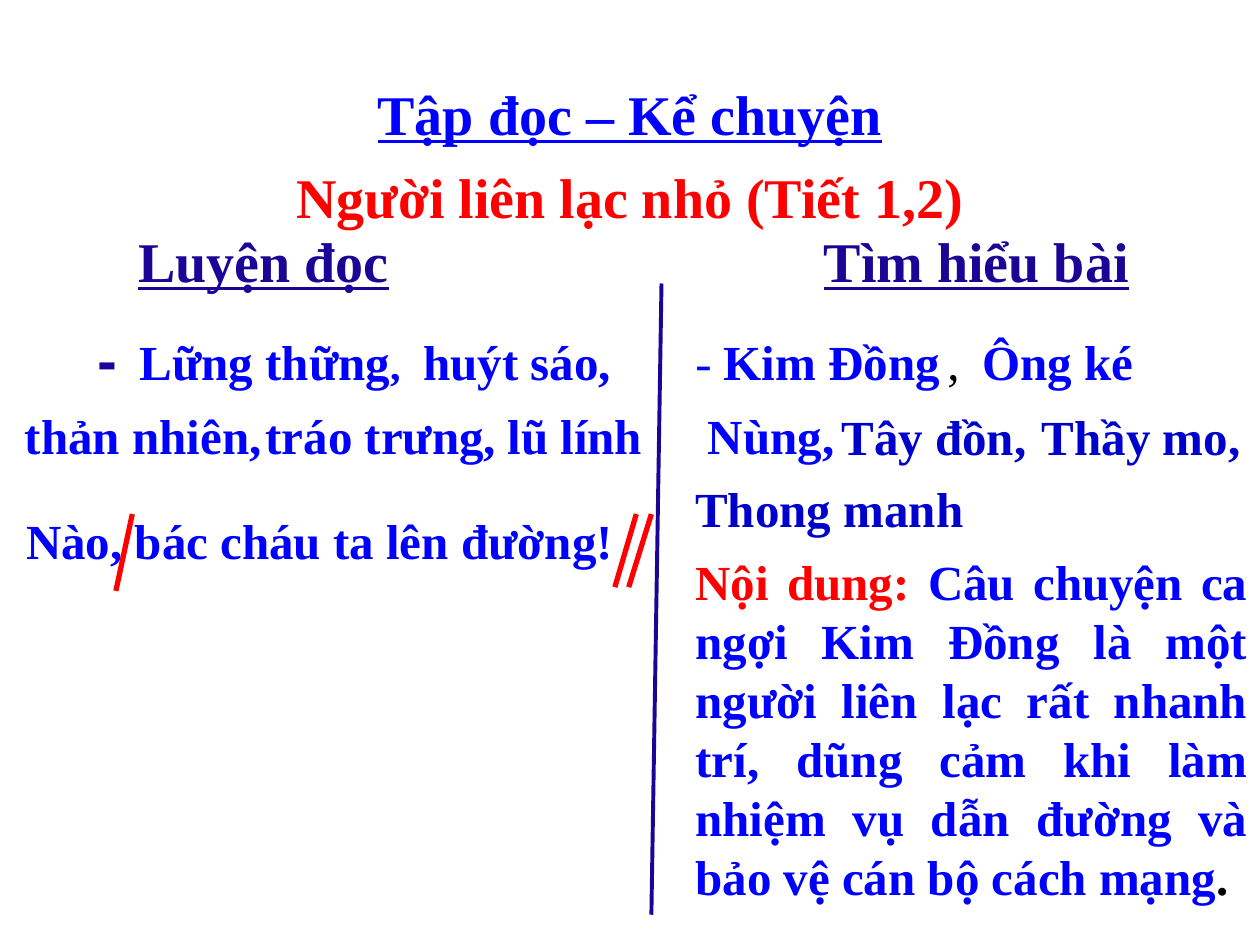
from typing import NamedTuple

from lxml.etree import SubElement
from pptx import Presentation
from pptx.dml.color import RGBColor
from pptx.enum.shapes import MSO_CONNECTOR
from pptx.enum.text import MSO_ANCHOR, MSO_AUTO_SIZE, PP_ALIGN
from pptx.oxml.ns import qn
from pptx.util import Inches, Pt

SERIF = "Times New Roman"
BLUE, DARK_BLUE, INDIGO = "0000FF", "0000CC", "1A0597"
RED, BLACK = "FF0000", "000000"
HEADING_SIZE, TEXT_SIZE = 32, 28
HEADING_HEIGHT, TEXT_HEIGHT = 0.64, 0.57
ROW_1, ROW_2, ROW_3 = 2.58, 3.17, 3.75
RIGHT_COLUMN = 5.42


class Span(NamedTuple):
    text: str
    color: str = BLUE
    bold: bool = True
    size: int | None = None


class Label(NamedTuple):
    left: float
    top: float
    width: float
    spans: list[Span]
    size: int = TEXT_SIZE
    height: float = TEXT_HEIGHT
    font: str = SERIF
    underline: bool = False
    align: PP_ALIGN = PP_ALIGN.LEFT


class Stroke(NamedTuple):
    start: tuple[float, float]
    end: tuple[float, float]
    color: str = RED
    width: float = 3


def rgb(color: str) -> RGBColor:
    return RGBColor.from_string(color)


def fill_label(box, label: Label) -> None:
    """Place a text shape and write its single paragraph."""
    box.left, box.top = Inches(label.left), Inches(label.top)
    box.width, box.height = Inches(label.width), Inches(label.height)
    frame = box.text_frame
    frame.word_wrap = True
    frame.auto_size = MSO_AUTO_SIZE.NONE
    frame.vertical_anchor = MSO_ANCHOR.TOP
    para = frame.paragraphs[0]
    para.alignment = label.align
    para.space_before = Pt(0)
    para.font.name = label.font
    para.font.size = Pt(label.size)
    para.font.underline = label.underline
    for span in label.spans:
        run = para.add_run()
        run.text = span.text
        run.font.bold = span.bold
        run.font.color.rgb = rgb(span.color)
        if span.size:
            run.font.size = Pt(span.size)


def add_label(page, label: Label) -> None:
    box = page.shapes.add_textbox(0, 0, Inches(1), Inches(1))
    fill_label(box, label)


def remove_bullet(para) -> None:
    properties = para._p.get_or_add_pPr()
    properties.set("marL", "0")
    properties.set("indent", "0")
    SubElement(properties, qn("a:buNone"))


def add_stroke(page, stroke: Stroke) -> None:
    points = [Inches(value) for value in stroke.start + stroke.end]
    line = page.shapes.add_connector(MSO_CONNECTOR.STRAIGHT, *points)
    line.line.color.rgb = rgb(stroke.color)
    line.line.width = Pt(stroke.width)
    SubElement(line._element.spPr, qn("a:effectLst"))


TITLE = Label(0, 0.58, 10, [Span("Tập đọc – Kể chuyện")], HEADING_SIZE,
              HEADING_HEIGHT, underline=True, align=PP_ALIGN.CENTER)

SUMMARY = Label(RIGHT_COLUMN, 4.33, 4.58, [
    Span("Nội dung: ", RED),
    Span("Câu chuyện ca ngợi Kim Đồng là một người liên lạc rất nhanh trí, "
         "dũng cảm khi làm nhiệm vụ dẫn đường và bảo vệ cán bộ cách mạng"),
    Span(".", BLACK),
], height=2.9, align=PP_ALIGN.JUSTIFY)

LABELS = [
    # Lesson name and column headings
    Label(0, 1.24, 10, [Span("Người liên lạc nhỏ (Tiết 1,2)", RED)],
          HEADING_SIZE, HEADING_HEIGHT, align=PP_ALIGN.CENTER),
    Label(1, 1.75, 3.17, [Span("Luyện đọc", INDIGO)],
          HEADING_SIZE, HEADING_HEIGHT, underline=True),
    Label(6.44, 1.75, 2.9, [Span("Tìm hiểu bài", INDIGO)],
          HEADING_SIZE, HEADING_HEIGHT, underline=True),
    # Reading practice
    Label(0.67, ROW_1, 0.67, [Span("-", INDIGO)], font="DejaVu Sans"),
    Label(1.01, ROW_1, 2.35, [Span("Lững thững"), Span(",", size=24)]),
    Label(3.26, ROW_1, 1.78, [Span("huýt sáo,")]),
    Label(0.1, ROW_2, 2.17, [Span("thản nhiên,")]),
    Label(2.01, ROW_2, 2.12, [Span("tráo trưng,")]),
    Label(3.93, ROW_2, 1.36, [Span("lũ lính")]),
    Label(0.11, 4, 5, [Span("Nào, bác cháu ta lên đường!")]),
    # Words to understand
    Label(RIGHT_COLUMN, ROW_1, 2.17,
          [Span("- ", bold=False), Span("Kim Đồng")]),
    Label(7.42, ROW_1, 0.4, [Span(",", BLACK, bold=False)]),
    Label(7.7, ROW_1, 1.72, [Span("Ông ké")]),
    Label(5.52, ROW_2, 1.4, [Span("Nùng,")]),
    Label(6.58, 3.18, 1.83, [Span("Tây đồn,", DARK_BLUE)]),
    Label(8.17, 3.18, 1.83, [Span("Thầy mo,", DARK_BLUE)]),
    Label(RIGHT_COLUMN, ROW_3, 2.75, [Span("Thong manh", DARK_BLUE)]),
]

STROKES = [
    # Column divider
    Stroke((5.25, 2.25), (5.17, 7.26), INDIGO, 2.25),
    # Pause marks
    Stroke((1.05, 4.08), (0.92, 4.69)),
    Stroke((5.05, 4.08), (4.88, 4.66)),
    Stroke((5.17, 4.08), (4.99, 4.66)),
]


def main() -> None:
    deck = Presentation()
    deck.slide_width, deck.slide_height = Inches(10), Inches(7.5)
    page = deck.slides.add_slide(deck.slide_layouts[1])

    # Title and summary placeholders
    fill_label(page.shapes.title, TITLE)
    body = page.placeholders[1]
    remove_bullet(body.text_frame.paragraphs[0])
    fill_label(body, SUMMARY)

    for label in LABELS:
        add_label(page, label)
    for stroke in STROKES:
        add_stroke(page, stroke)

    deck.save("out.pptx")


if __name__ == "__main__":
    main()
